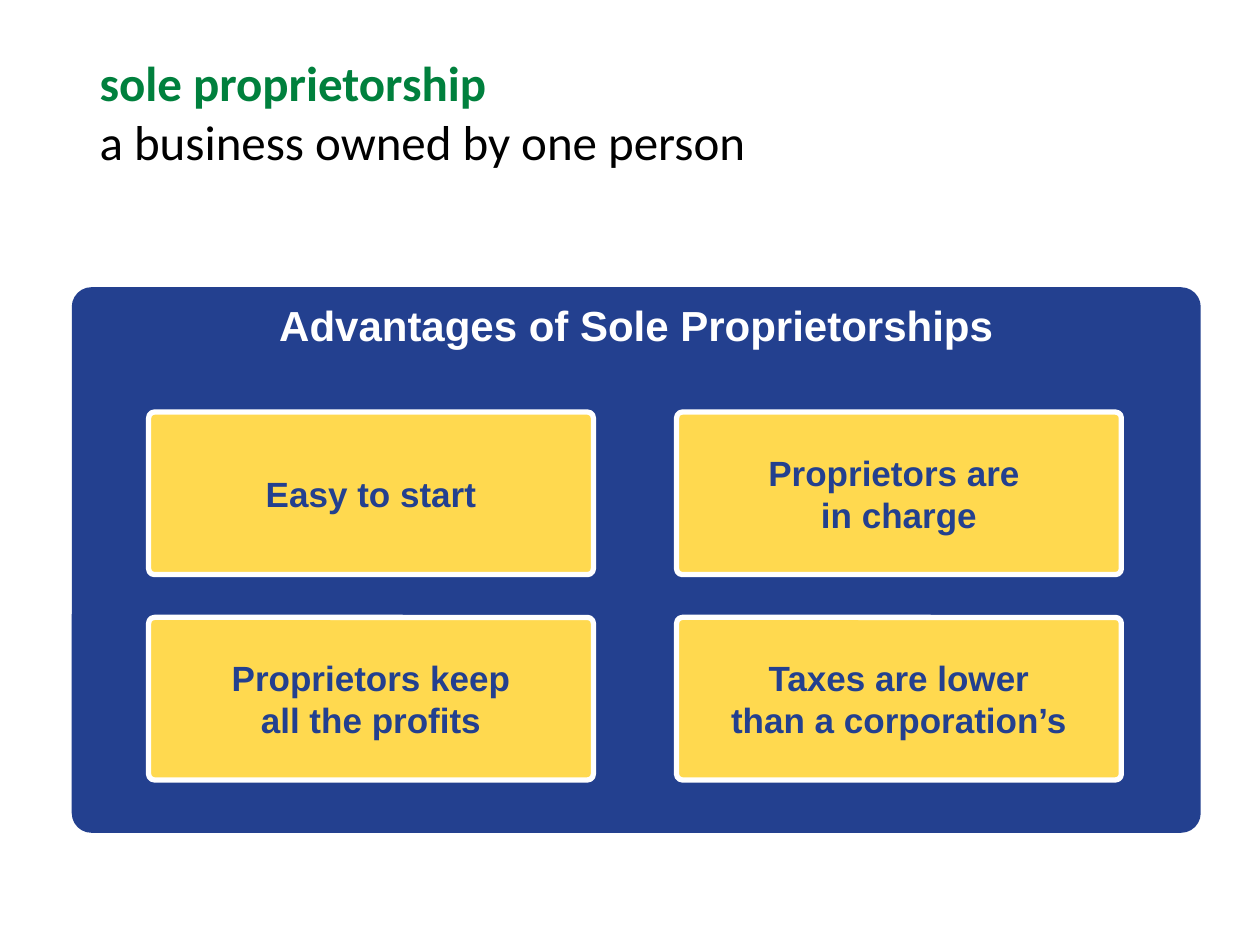
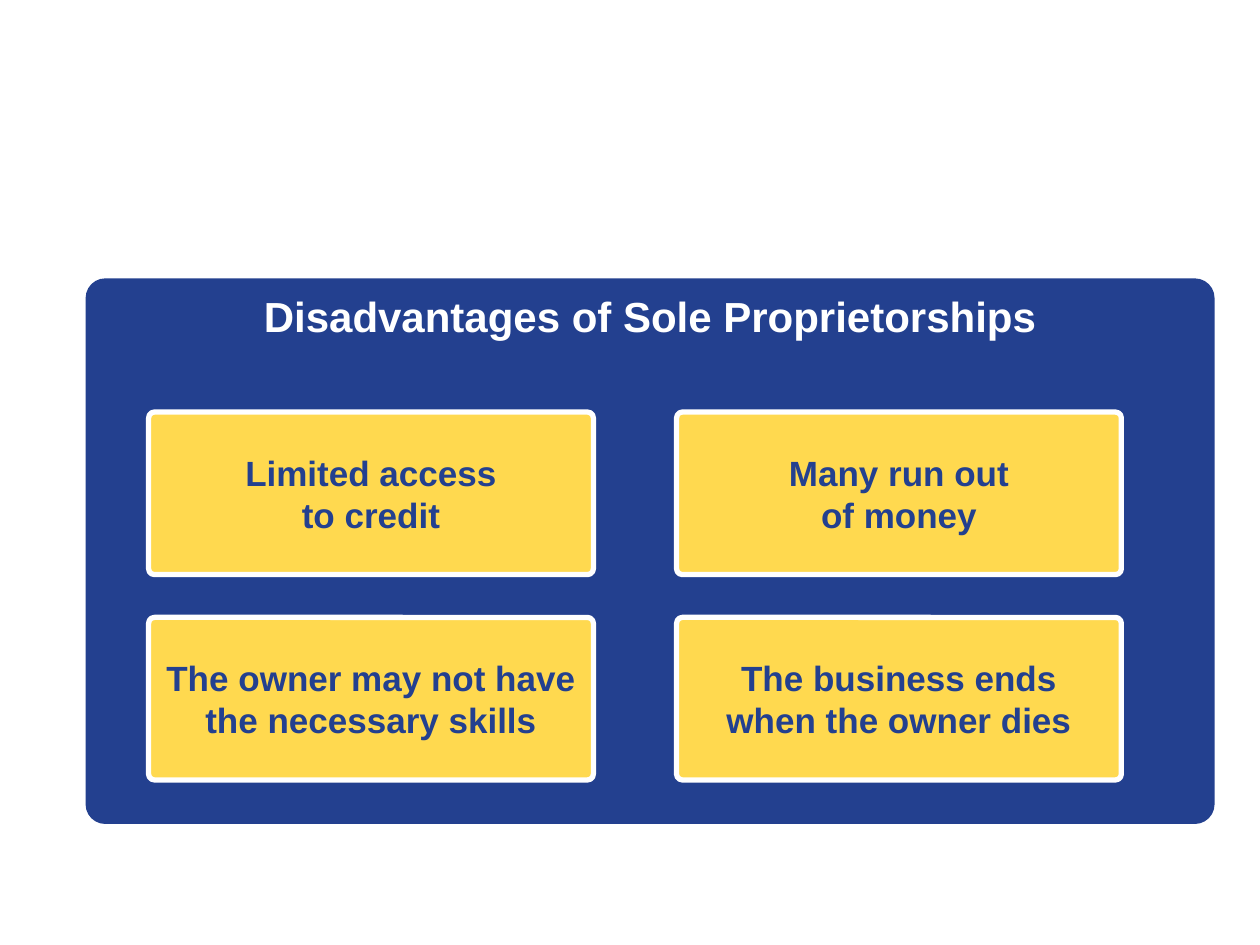
"""Build two slides on the pros and cons of a sole proprietorship."""
from typing import NamedTuple

from pptx import Presentation
from pptx import util as u
from pptx.dml.color import RGBColor
from pptx.enum import shapes, text

NAVY = RGBColor(0x23, 0x40, 0x8F)
GOLD = RGBColor(0xFF, 0xD9, 0x4F)
GREEN = RGBColor(0x00, 0x80, 0x3D)
WHITE = RGBColor(0xFF, 0xFF, 0xFF)
BLACK = RGBColor(0x00, 0x00, 0x00)

WIDE, HIGH = u.Inches(10), u.Inches(7.5)
COLS, ROWS = 100, 75
ROUND = 0.036


class Box(NamedTuple):
    """A place on the grid, in columns and rows."""
    col: float
    row: float
    wide: float
    high: float

    def place(self) -> tuple[int, int, int, int]:
        """Return left, top, width and height as slide lengths."""
        x, y = WIDE / COLS, HIGH / ROWS
        return (round(self.col * x), round(self.row * y),
                round(self.wide * x), round(self.high * y))


class Panel(NamedTuple):
    """A headed panel with four cards, listed row by row."""
    head: str
    col: float
    row: float
    cards: tuple[str, ...]


HEAD = Box(6.9, 4, 86.2, 14.5)
CARD = Box(11.8, 32.7, 35.3, 12.9)
STEP_X, STEP_Y = 41.9, 16.3

PROS = Panel("Advantages of Sole Proprietorships", 5.7, 22.8, (
    "Easy to start", "Proprietors are \nin charge",
    "Proprietors keep\nall the profits",
    "Taxes are lower\nthan a corporation’s"))
CONS = Panel("Disadvantages of Sole Proprietorships", 6.8, 22.1, (
    "Limited access\nto credit", "Many run out\nof money",
    "The owner may not have the necessary skills",
    "The business ends\nwhen the owner dies"))


def write(para, words: str, *, size: float, color: RGBColor,
          face: str = "Arial", bold: bool = True,
          align=text.PP_ALIGN.CENTER) -> None:
    """Add words to a paragraph, with a line break at each newline."""
    para.alignment = align
    for i, line in enumerate(words.split("\n")):
        if i:
            para.add_line_break()
        run = para.add_run()
        run.text = line
        font = run.font
        font.name, font.size, font.bold = face, u.Pt(size), bold
        font.color.rgb = color


def block(slide, box: Box, fill: RGBColor, words: str, *, size: float,
          color: RGBColor, anchor, edge: RGBColor | None = None,
          wrap: bool = True) -> None:
    """Draw a rounded block that holds text."""
    shape = slide.shapes.add_shape(
        shapes.MSO_SHAPE.ROUNDED_RECTANGLE, *box.place())
    shape.adjustments[0] = ROUND
    shape.shadow.inherit = False
    shape.fill.solid()
    shape.fill.fore_color.rgb = fill
    if edge is None:
        shape.line.fill.background()
    else:
        shape.line.color.rgb = edge
        shape.line.width = u.Pt(3)
    frame = shape.text_frame
    frame.word_wrap = wrap
    frame.vertical_anchor = anchor
    write(frame.paragraphs[0], words, size=size, color=color)


def draw(slide, panel: Panel) -> None:
    """Draw a panel and its two-by-two cards."""
    block(slide, Box(panel.col, panel.row, 89.6, 43.3), NAVY, panel.head,
          size=24, color=WHITE, anchor=text.MSO_ANCHOR.TOP, wrap=False)
    for i, words in enumerate(panel.cards):
        row, col = divmod(i, 2)
        box = CARD._replace(col=CARD.col + col * STEP_X,
                            row=CARD.row + row * STEP_Y)
        block(slide, box, GOLD, words, size=20, color=NAVY, edge=WHITE,
              anchor=text.MSO_ANCHOR.MIDDLE)


def define(slide, term: str, sense: str) -> None:
    """Fill the title with a term and its meaning below."""
    title = slide.shapes.title
    title.left, title.top, title.width, title.height = HEAD.place()
    frame = title.text_frame
    frame.auto_size = text.MSO_AUTO_SIZE.NONE
    frame.vertical_anchor = text.MSO_ANCHOR.TOP
    frame.margin_top = u.Inches(0.02)
    para = frame.paragraphs[0]
    style = dict(size=28, face="Calibri", align=text.PP_ALIGN.LEFT)
    write(para, term, color=GREEN, **style)
    para.add_line_break()
    write(para, sense, color=BLACK, bold=False, **style)


def main() -> None:
    """Build and save the slides."""
    deck = Presentation()
    deck.slide_width, deck.slide_height = WIDE, HIGH
    titled, blank = deck.slide_layouts[5], deck.slide_layouts[6]
    first = deck.slides.add_slide(titled)
    define(first, "sole proprietorship", "a business owned by one person")
    draw(first, PROS)
    draw(deck.slides.add_slide(blank), CONS)
    deck.save("out.pptx")


if __name__ == "__main__":
    main()
